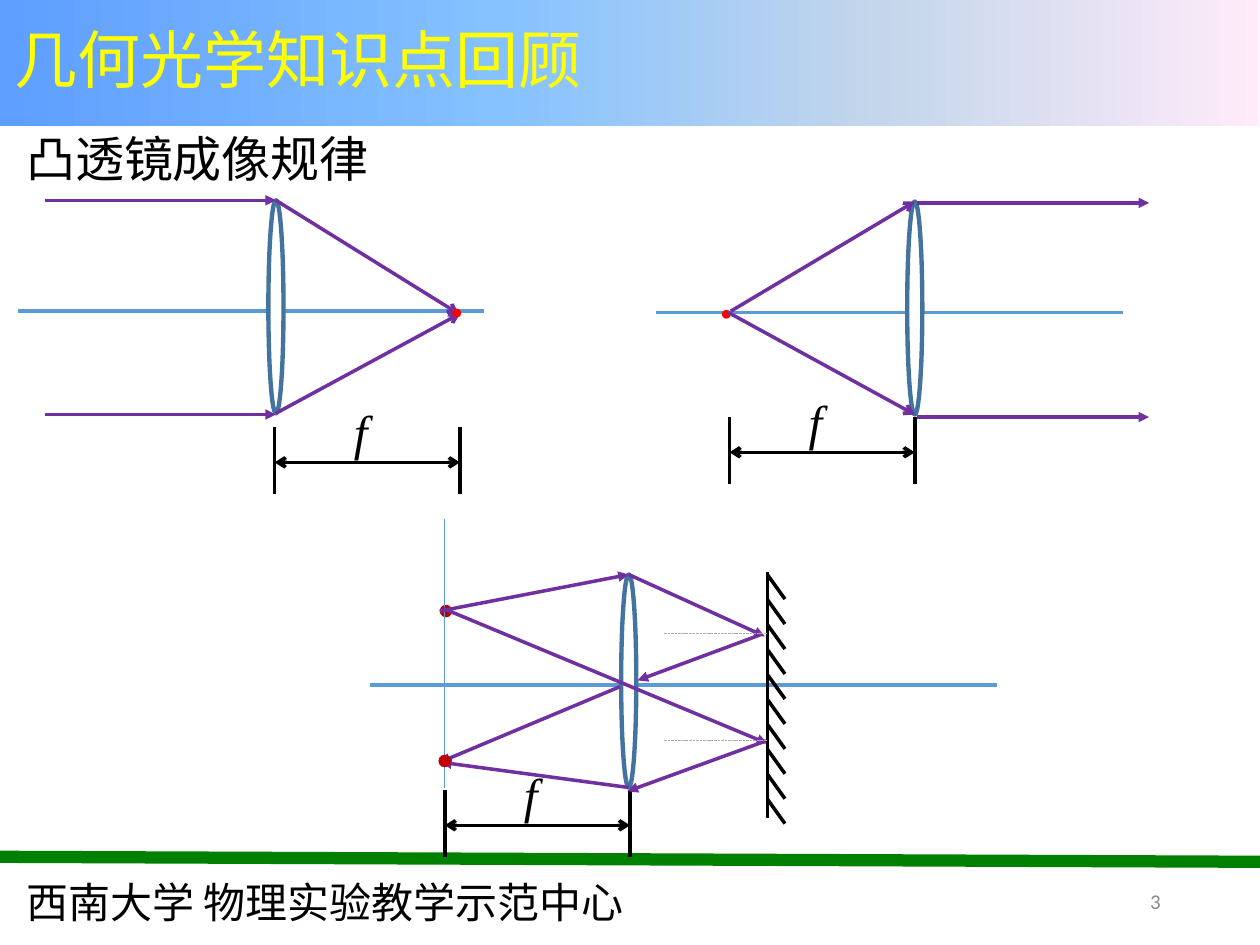
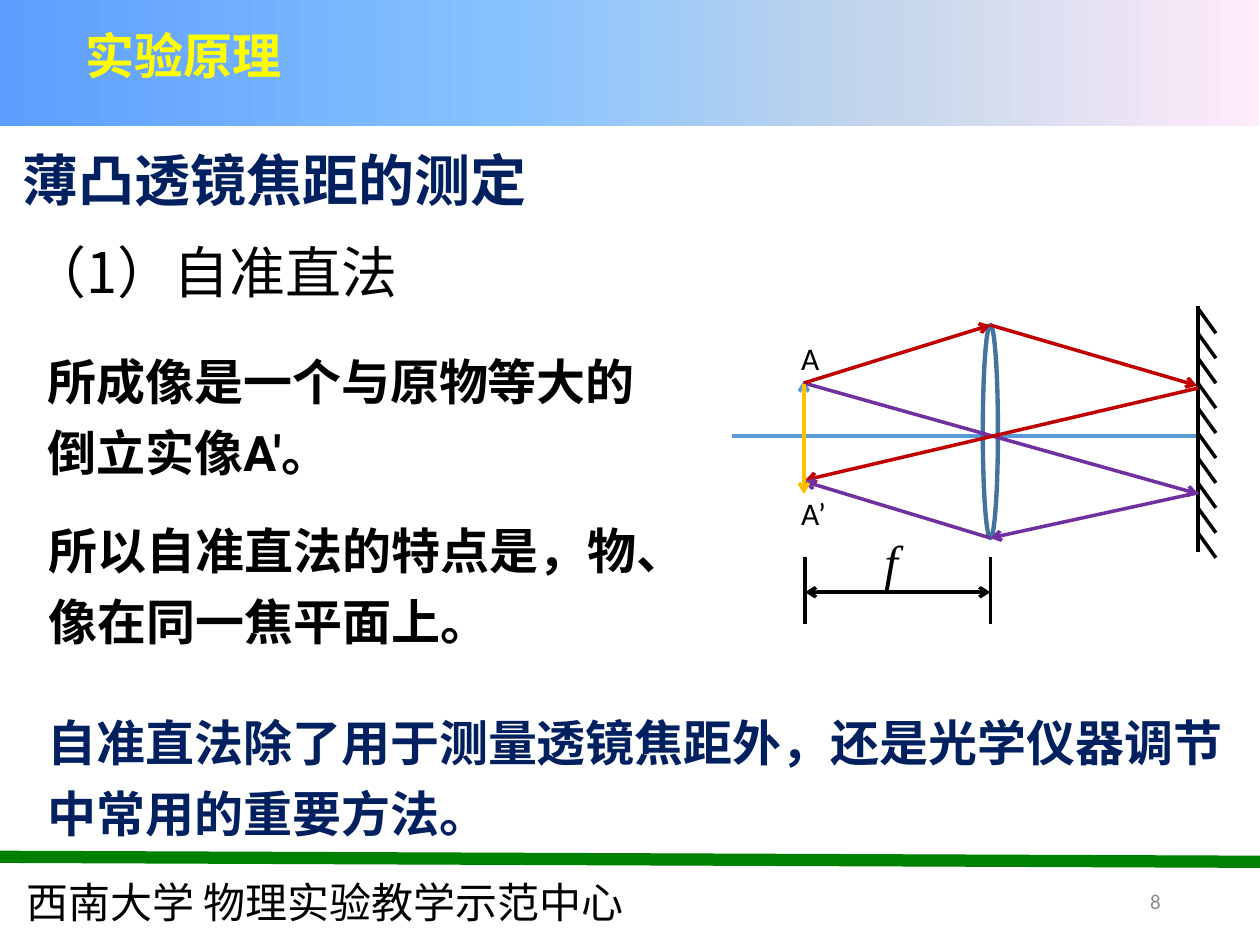
from lxml.etree import SubElement
from pptx import Presentation
from pptx.dml.color import RGBColor
from pptx.enum.dml import MSO_LINE
from pptx.enum.shapes import MSO_CONNECTOR, MSO_SHAPE
from pptx.enum.text import MSO_ANCHOR, PP_ALIGN
from pptx.oxml.ns import qn
from pptx.util import Inches, Pt

# Grid: 100 columns by 75 rows
COLS, ROWS = 100, 75

# Palette and fonts
BLACK, WHITE, GREY = "000000", "FFFFFF", "8C8C8C"
BLUE, STEEL, NAVY = "5B9BD5", "43739E", "002060"
PURPLE, RED, BRIGHT = "7030A0", "C00000", "FF0000"
GREEN, YELLOW, GOLD, DASH = "008000", "FFFF00", "FFC000", "AFABAB"
BAND = [(0, "5E9EFF"), (40, "85C2FF"), (70, "C4D6EB"), (100, "FFEBFA")]
SANS, CJK, SERIF = "Calibri", "Noto Sans CJK SC", "Times New Roman"
FOOTER = "西南大学 物理实验教学示范中心"

# Thin lens and its focal length, in grid units
LENS_W, LENS_H, FOCAL = 1.2, 16.9, 14.7


def color(code):
    return RGBColor.from_string(code)


class Deck:
    def __init__(self):
        self.prs = Presentation()
        self.prs.slide_width, self.prs.slide_height = Inches(10), Inches(7.5)
        self.slide = None

    def x(self, cols):
        return round(self.prs.slide_width * cols / COLS)

    def y(self, rows):
        return round(self.prs.slide_height * rows / ROWS)

    def box(self, left, top, wide, high):
        return self.x(left), self.y(top), self.x(wide), self.y(high)

    # Shared band, footer and page number
    def page(self, number):
        self.slide = self.prs.slides.add_slide(self.prs.slide_layouts[6])
        band = self.shape(MSO_SHAPE.RECTANGLE, -0.1, -0.1, 100, 10.1)
        band.fill.gradient()
        band.fill.gradient_angle = 0
        stops = band.fill._fill._gradFill.find(qn("a:gsLst"))
        stops.clear()
        for share, code in BAND:
            stop = SubElement(stops, qn("a:gs"), pos=str(share * 1000))
            SubElement(stop, qn("a:srgbClr"), val=code)
        self.text(FOOTER, 1.1, 68.3, 53.1, 5, 24, CJK, space=1.2)
        self.text(number, 70.6, 69.5, 22.5, 4, 12, ink=GREY,
                  align=PP_ALIGN.RIGHT, middle=True)
        self.line(0, 68, 100.4, 68.4, GREEN, 7)

    def shape(self, kind, left, top, wide, high, fill=None, edge=None):
        item = self.slide.shapes.add_shape(kind, *self.box(left, top, wide, high))
        item.shadow.inherit = False
        if fill:
            item.fill.solid()
            item.fill.fore_color.rgb = color(fill)
        if edge:
            item.line.color.rgb = color(edge)
            item.line.width = Pt(2.5)
        else:
            item.line.fill.background()
        return item

    def text(self, words, left, top, wide, high, size, font=SANS, ink=BLACK,
             bold=False, slant=False, align=None, middle=False, space=None):
        item = self.slide.shapes.add_textbox(*self.box(left, top, wide, high))
        frame = item.text_frame
        frame.word_wrap = True
        frame.vertical_anchor = MSO_ANCHOR.MIDDLE if middle else MSO_ANCHOR.TOP
        para = frame.paragraphs[0]
        para.text = words
        para.alignment = align
        para.line_spacing = space
        face = para.font
        face.name, face.size = font, Pt(size)
        face.bold, face.italic = bold, slant
        face.color.rgb = color(ink)

    def line(self, x1, y1, x2, y2, ink=BLACK, width=2, head=None, tail=None,
             dash=None):
        item = self.slide.shapes.add_connector(
            MSO_CONNECTOR.STRAIGHT, self.x(x1), self.y(y1), self.x(x2), self.y(y2))
        item.line.color.rgb = color(ink)
        item.line.width = Pt(width)
        if dash:
            item.line.dash_style = dash
        edge = item.line._get_or_add_ln()
        for tag, kind in (("a:headEnd", head), ("a:tailEnd", tail)):
            if kind:
                SubElement(edge, qn(tag), type=kind)
        SubElement(item._element.spPr, qn("a:effectLst"))

    def rays(self, tip, ink, *paths):
        for path in paths:
            self.line(*path, ink, tail=tip)

    def axis(self, left, right, row):
        self.line(left, row, right, row, BLUE, 2.25)

    def lens(self, mid, top):
        self.shape(MSO_SHAPE.OVAL, mid - LENS_W / 2, top, LENS_W, LENS_H,
                   WHITE, STEEL)

    def dot(self, left, top, size, ink):
        self.shape(MSO_SHAPE.OVAL, left, top, size, size, ink)

    # Focal length mark: two ticks, a double arrow and its letter
    def focus(self, left, top):
        for col in (left, left + FOCAL):
            self.line(col, top, col, top + 5.3)
        self.line(left, top + 2.8, left + FOCAL, top + 2.8,
                  head="arrow", tail="arrow")
        self.text("f", left + 5.3, top - 2.5, 5.2, 5.7, 28, SERIF, slant=True)

    # Plane mirror with ten hatch strokes
    def mirror(self, col, top):
        self.line(col, top, col, top + 19.5)
        for step in range(10):
            row = top + 0.2 + step * 1.98
            self.line(col, row, col + 1.4, row + 1.95)


def review(deck):
    deck.page("3")
    deck.text("几何光学知识点回顾", 0.2, 1.1, 49.7, 7.1, 36, ink=YELLOW)
    deck.text("凸透镜成像规律", 1.1, 9.7, 43.7, 5.7, 28)

    # Parallel light gathers at the focus
    deck.axis(1.4, 38.4, 24.7)
    deck.lens(21.9, 15.9)
    deck.rays("triangle", PURPLE, *[(3.6, row, 21.9, row) for row in (15.9, 32.9)])
    deck.rays("arrow", PURPLE, (21.9, 15.9, 36.4, 24.9), (21.9, 32.8, 36.5, 24.9))
    deck.dot(35.9, 24.5, 0.7, BRIGHT)
    deck.focus(21.8, 33.9)

    # Light from the focus leaves parallel
    deck.axis(52.1, 89.1, 24.8)
    deck.lens(72.6, 16)
    deck.dot(57.3, 24.6, 0.7, BRIGHT)
    deck.focus(57.9, 33.1)
    deck.rays("arrow", PURPLE, (57.8, 24.8, 72.6, 32.9), (58, 24.7, 72.6, 16))
    deck.rays("triangle", PURPLE, *[(72.8, row, 91.2, row) for row in (16.1, 33.1)])

    # Lens and mirror return light to the focal plane
    deck.axis(29.4, 79.1, 54.4)
    deck.lens(49.9, 45.6)
    deck.dot(34.9, 48, 1, RED)
    deck.focus(35.3, 62.7)
    deck.line(35.3, 41.2, 35.3, 62.5, BLUE, 0.5)
    deck.rays("triangle", PURPLE,
              (35.2, 48.3, 60.9, 59), (34.9, 48.5, 49.9, 45.6),
              (49.9, 45.6, 60.7, 50.5))
    deck.mirror(60.9, 45.4)
    deck.rays("triangle", PURPLE,
              (60.3, 50.4, 50.6, 54), (60.8, 58.8, 49.8, 62.8),
              (49.9, 62.5, 35, 60.5), (49.2, 54.5, 34.9, 60.5))
    deck.dot(34.8, 59.9, 1, RED)
    for row in (50.3, 58.8):
        deck.line(52.7, row, 60.9, row, DASH, 0.5, dash=MSO_LINE.SQUARE_DOT)


def method(deck):
    deck.page("8")
    deck.text("实验原理", 0.8, 1.5, 27.5, 5.7, 28, "Arial", YELLOW, bold=True,
              align=PP_ALIGN.CENTER)
    deck.text("薄凸透镜焦距的测定", 0.8, 11.1, 43, 6.3, 32, CJK, NAVY,
              bold=True, middle=True)
    deck.text("（1）自准直法", 1.4, 18.3, 33.6, 6.4, 32, CJK, middle=True)

    # Object A, its image A’ and the light between them
    deck.axis(58.1, 95.1, 34.6)
    deck.lens(78.6, 25.8)
    deck.line(63.8, 30.2, 63.8, 38.1, BLUE, head="arrow")
    deck.mirror(95.1, 24.3)
    deck.rays("arrow", PURPLE, (63.8, 30.4, 95.1, 39.2))
    deck.rays("arrow", RED, (95.1, 30.8, 63.9, 38.1), (78.6, 25.8, 95, 30.6))
    deck.rays("arrow", PURPLE, (95.1, 39.1, 78.6, 42.7), (78.6, 42.7, 63.8, 38.2))
    deck.rays("arrow", RED, (63.8, 30.4, 78.6, 25.8))
    deck.rays("arrow", GOLD, (63.8, 30.5, 63.8, 39.2))
    for name, row in (("A", 26.4), ("A’", 38.7)):
        deck.text(name, 62.6, row, 5.2, 4, 18)
    deck.focus(63.9, 44.2)

    # Findings
    for words, left, top, wide, high, ink in (
            ("所成像是一个与原物等大的倒立实像A′。", 2.8, 26.5, 52, 12.2, BLACK),
            ("所以自准直法的特点是，物、像在同一焦平面上。",
             2.9, 39.9, 55.1, 12.2, BLACK),
            ("自准直法除了用于测量透镜焦距外，还是光学仪器调节中常用的重要方法。",
             2.8, 55.4, 95.9, 11.7, NAVY)):
        deck.text(words, left, top, wide, high, 28, "Roboto", ink, bold=True,
                  middle=True, space=1.2)


def main():
    deck = Deck()
    review(deck)
    method(deck)
    deck.prs.save("out.pptx")


if __name__ == "__main__":
    main()
